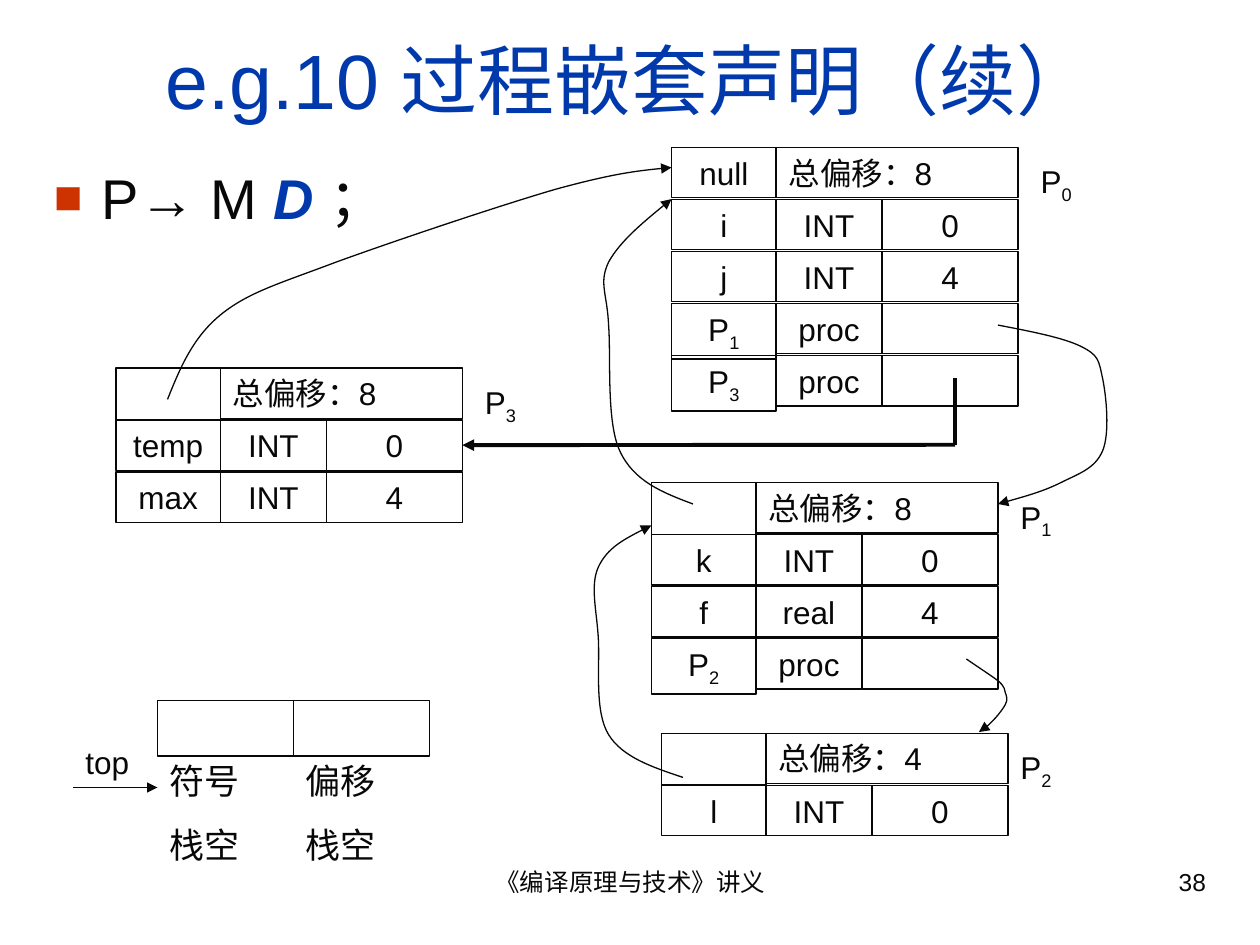
from lxml import etree
from pptx import Presentation
from pptx.dml.color import RGBColor
from pptx.enum import shapes, text
from pptx.oxml import ns
from pptx.util import Inches, Pt

INK, BLUE, RED = "080808", "0039AC", "CC3300"
COLS = (0, 0.83, 1.67, 2.75)
PITCH, ROW_H, SUB_H = 0.413, 0.4, 0.44
LEFT, CENTER, RIGHT = text.PP_ALIGN.LEFT, text.PP_ALIGN.CENTER, text.PP_ALIGN.RIGHT


def rgb(value):
    return RGBColor.from_string(value)


def add_xml(parent, tag, **attrs):
    return etree.SubElement(parent, ns.qn(tag), attrs)


def write(sp, *paras, size=18, color=INK, align=LEFT, before=11.2,
          anchor=text.MSO_ANCHOR.TOP):
    """Each paragraph is a string ("P_1" lowers the 1) or a list of (text, format) runs."""
    tf = sp.text_frame
    tf.word_wrap = True
    tf.vertical_anchor = anchor
    for i, para in enumerate(paras):
        p = tf.add_paragraph() if i else tf.paragraphs[0]
        p.alignment = align
        p.space_before = Pt(before)
        if isinstance(para, str):
            base, _, sub = para.partition("_")
            para = [(base, {})] + ([(sub, {"sub": True})] if sub else [])
        for words, fmt in para:
            r = p.add_run()
            r.text = words
            r.font.name = "Arial"
            r.font.size = Pt(size)
            r.font.color.rgb = rgb(fmt.get("color", color))
            r.font.bold = r.font.italic = fmt.get("strong", False)
            if fmt.get("sub"):
                r.font._element.set("baseline", "-25000")
    return sp


def text_box(s, x, y, w, h, *paras, **fmt):
    sp = s.shapes.add_textbox(Inches(x), Inches(y), Inches(w), Inches(h))
    return write(sp, *paras, **fmt)


def cell(s, x, y, w, h, words="", align=CENTER):
    sp = s.shapes.add_shape(shapes.MSO_SHAPE.RECTANGLE,
                            Inches(x), Inches(y), Inches(w), Inches(h))
    sp.shadow.inherit = False
    sp.fill.background()
    outline(sp)
    if words:
        write(sp, words, align=align)
    return sp


def outline(sp, width=0.75, arrow=False):
    sp.line.color.rgb = rgb(INK)
    sp.line.width = Pt(width)
    if arrow:
        add_xml(sp.line._get_or_add_ln(), "a:tailEnd", type="triangle")


def line(s, x1, y1, x2, y2, width=0.75, arrow=True):
    cx = s.shapes.add_connector(shapes.MSO_CONNECTOR.STRAIGHT,
                                Inches(x1), Inches(y1), Inches(x2), Inches(y2))
    outline(cx, width, arrow)
    add_xml(cx._element.spPr, "a:effectLst")
    return cx


def curve_arrow(s, *points):
    """Cubic curve: a start point, then two handles and an end point per segment."""
    scaled = [(round(x * 100), round(y * 100)) for x, y in points]
    fb = s.shapes.build_freeform(*scaled[0], scale=Inches(1) / 100)
    fb.add_line_segments(scaled[1:], close=False)
    sp = fb.convert_to_shape()
    sp.shadow.inherit = False
    sp.fill.background()
    outline(sp, arrow=True)
    steps = list(sp._element.iter(ns.qn("a:lnTo")))
    outline_path = steps[0].getparent()
    for i in range(0, len(steps), 3):
        bezier = add_xml(outline_path, "a:cubicBezTo")
        for step in steps[i:i + 3]:
            bezier.append(step[0])
            outline_path.remove(step)
    return sp


def symbol_table(s, x, y, name, total, rows, parent="", label_gap=0.08):
    """Header row (parent, total offset) above rows of name, type and offset."""
    cell(s, x, y, COLS[1], ROW_H if parent else 0.41, parent)
    cell(s, x + COLS[1], y, COLS[3] - COLS[1], ROW_H, f"总偏移：{total}", LEFT)
    text_box(s, x + COLS[3] + label_gap, y + 0.07, 0.58, SUB_H, name)
    grid = []
    for i, row in enumerate(rows, 1):
        grid.append([
            cell(s, x + left, y + i * PITCH, right - left,
                 SUB_H if "_" in words else ROW_H, words)
            for left, right, words in zip(COLS, COLS[1:], row)])
    return grid


def stacks(s, x, y, w):
    for i, name in enumerate(("符号", "偏移")):
        left = x + i * w
        cell(s, left, y, w, SUB_H)
        text_box(s, left, y + 0.42, w, 0.94, name, "栈空", size=20, before=12.5)
    text_box(s, x - 0.67, y + 0.29, 0.58, ROW_H, "top")
    line(s, x - 0.67, y + 0.69, x, y + 0.69)


def production(s, x, y, w, h):
    sp = text_box(s, x, y, w, h,
                  [("P→ M ", {}), ("D ", {"color": BLUE, "strong": True}), ("；", {})],
                  size=32, before=8)
    pPr = sp.text_frame.paragraphs[0]._p.get_or_add_pPr()
    pPr.set("marL", str(Inches(0.38)))
    pPr.set("indent", str(-Inches(0.38)))
    add_xml(add_xml(pPr, "a:buClr"), "a:srgbClr", val=RED)
    add_xml(pPr, "a:buSzPct", val="85000")
    add_xml(pPr, "a:buFont", typeface="Arial")
    add_xml(pPr, "a:buChar", char="■")


def footer(s, y, h):
    text_box(s, 3.42, y, 3.17, h, "《编译原理与技术》讲义", size=14, align=CENTER, before=0)
    text_box(s, 7.17, y, 2.5, h, "38", size=14, align=RIGHT, before=0)


def links(s, temp_offset):
    # procedure entries to their tables
    curve_arrow(s, (7.92, 2.58), (8.18, 2.63), (8.44, 2.68), (8.58, 2.75),
                (8.72, 2.82), (8.72, 2.86), (8.75, 3), (8.78, 3.14), (8.81, 3.44),
                (8.75, 3.58), (8.69, 3.72), (8.56, 3.76), (8.42, 3.83),
                (8.28, 3.9), (8.1, 3.95), (7.92, 4))
    curve_arrow(s, (7.67, 5.23), (7.77, 5.3), (7.88, 5.37), (7.93, 5.41),
                (7.98, 5.46), (7.97, 5.47), (7.98, 5.5), (7.99, 5.53), (8, 5.55),
                (7.98, 5.59), (7.96, 5.63), (7.91, 5.69), (7.88, 5.72),
                (7.84, 5.76), (7.81, 5.79), (7.77, 5.81))
    bend = 3.53
    line(s, 7.58, 3, 7.58, bend, 2.25, arrow=False)
    line(s, 7.58, bend, 3.67, bend, 2.25).end_connect(temp_offset, 3)
    # tables back to their parents
    curve_arrow(s, (1.33, 3.17), (1.43, 2.92), (1.53, 2.68), (1.75, 2.5),
                (1.97, 2.32), (2.22, 2.25), (2.67, 2.08), (3.11, 1.92), (3.97, 1.63),
                (4.42, 1.5), (4.86, 1.38), (5.1, 1.35), (5.33, 1.33))
    curve_arrow(s, (5.5, 4), (5.26, 3.91), (5.03, 3.82), (4.92, 3.58),
                (4.81, 3.35), (4.85, 2.83), (4.83, 2.58), (4.82, 2.33), (4.75, 2.25),
                (4.83, 2.08), (4.92, 1.92), (5.12, 1.75), (5.33, 1.58))
    curve_arrow(s, (5.42, 6.17), (5.18, 6.09), (4.94, 6.01), (4.83, 5.83),
                (4.72, 5.65), (4.76, 5.31), (4.75, 5.08), (4.74, 4.86), (4.68, 4.65),
                (4.75, 4.5), (4.82, 4.35), (4.99, 4.26), (5.17, 4.17))


def main():
    prs = Presentation()
    prs.slide_width, prs.slide_height = Inches(10), Inches(7.5)
    s = prs.slides.add_slide(prs.slide_layouts[6])
    footer(s, 6.83, 0.52)
    production(s, 0.33, 1.25, 9.34, 4.92)
    text_box(s, 0.33, 0.25, 9.34, 0.75, "e.g.10 过程嵌套声明（续）", size=44, color=BLUE,
             align=CENTER, before=0, anchor=text.MSO_ANCHOR.MIDDLE)
    stacks(s, 1.25, 5.56, 1.08)
    symbol_table(s, 5.33, 1.17, "P_0", 8,
                 [("i", "INT", "0"), ("j", "INT", "4"),
                  ("P_1", "proc", ""), ("P_3", "proc", "")], parent="null")
    symbol_table(s, 5.17, 3.83, "P_1", 8,
                 [("k", "INT", "0"), ("f", "real", "4"), ("P_2", "proc", "")])
    symbol_table(s, 5.25, 5.82, "P_2", 4, [("l", "INT", "0")], label_gap=0)
    p3_rows = symbol_table(s, 0.92, 2.92, "P_3", 8,
                           [("temp", "INT", "0"), ("max", "INT", "4")])
    links(s, p3_rows[0][2])
    prs.save("out.pptx")


if __name__ == "__main__":
    main()
